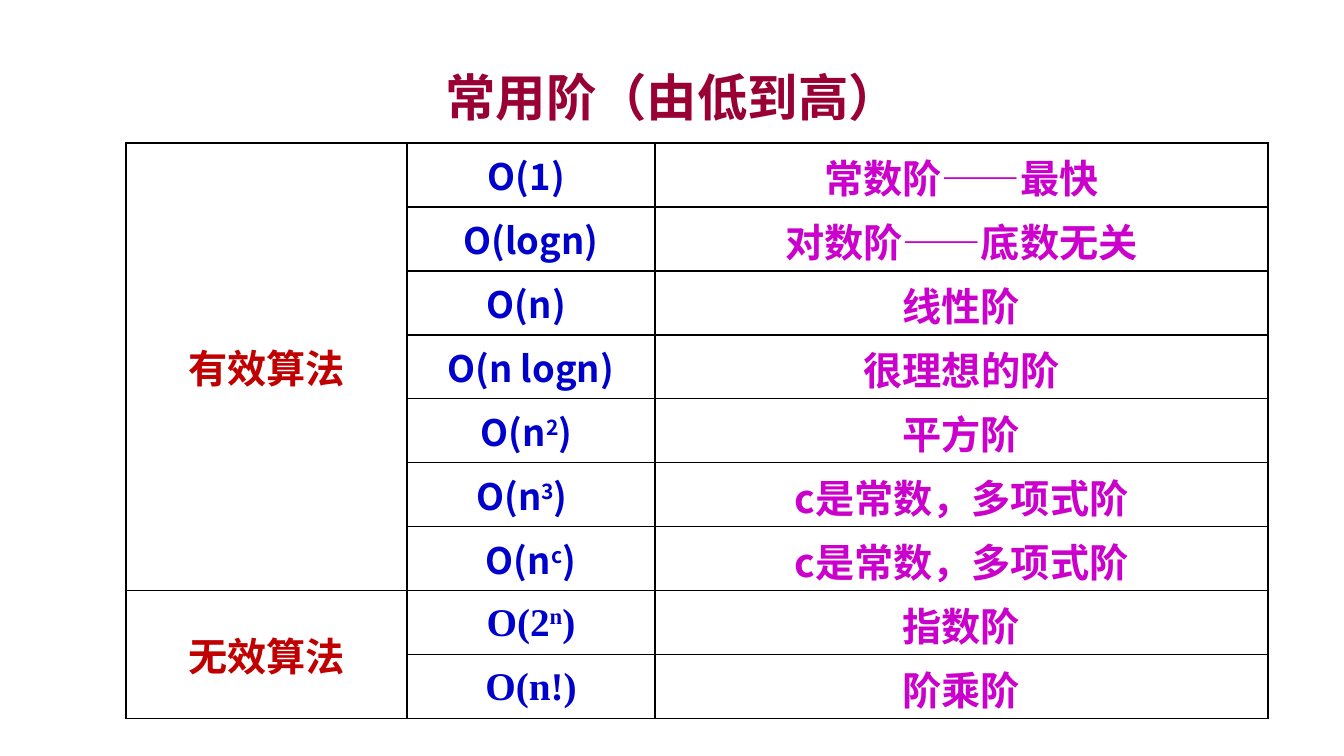
from pptx import Presentation
from pptx.dml.color import RGBColor
from pptx.enum.text import MSO_ANCHOR as Anchor, PP_ALIGN as Align
from pptx.oxml import parse_xml
from pptx.oxml.ns import nsdecls
from pptx.util import Pt

# Content: algorithm group -> (order parts, extra right inset in px, description)
# An order is (base, superscript, ending)
TITLE = "常用阶（由低到高）"
GROUPS = [
    ("有效算法", [
        (("O(1)", "", ""), 9, "常数阶——最快"),
        (("O(logn)", "", ""), 0, "对数阶——底数无关"),
        (("O(n)", "", ""), 9, "线性阶"),
        (("O(n logn)", "", ""), 0, "很理想的阶"),
        (("O(n", "2", ")"), 9, "平方阶"),
        (("O(n", "3", ")"), 18, "c是常数，多项式阶"),
        (("O(n", "c", ")"), 0, "c是常数，多项式阶"),
    ]),
    ("无效算法", [
        (("O(2", "n", ")"), 0, "指数阶"),
        (("O(n!)", "", ""), 0, "阶乘阶"),
    ]),
]

# Style
SANS, SERIF = "Noto Sans CJK SC", "Times New Roman"
ORDER_FONTS = {"有效算法": (SANS, 26), "无效算法": (SERIF, 28)}
MAROON = RGBColor(0x99, 0x00, 0x33)
RED = RGBColor(0xC0, 0x00, 0x00)
BLUE = RGBColor(0x00, 0x00, 0xCC)
MAGENTA = RGBColor(0xCC, 0x00, 0xCC)
WHITE = RGBColor(0xFF, 0xFF, 0xFF)

# Geometry in px
PX = 9071
SLIDE_SIZE = (1344, 756)
TITLE_BOX = (101, 58, 1142, 76)
TABLE_LEFT, TABLE_TOP = 126, 143
COLUMN_WIDTHS = (281, 248, 613)
ROW_HEIGHT = 64
SIDE_INSET = 10


def add_run(paragraph, text, font_name, size, color, superscript=False):
    run = paragraph.add_run()
    run.text = text
    font = run.font
    font.size, font.bold, font.name = Pt(size), True, font_name
    font.color.rgb = color
    properties = run._r.get_or_add_rPr()
    properties.append(parse_xml(f'<a:ea {nsdecls("a")} typeface="{SANS}"/>'))
    if superscript:
        properties.set("baseline", "30000")


def style_cell(cell):
    cell.vertical_anchor = Anchor.MIDDLE
    cell.margin_left = cell.margin_right = SIDE_INSET * PX
    cell.text_frame.paragraphs[0].alignment = Align.CENTER
    properties = cell._tc.get_or_add_tcPr()
    for side in ("lnL", "lnR", "lnT", "lnB"):
        properties.append(parse_xml(
            f'<a:{side} {nsdecls("a")} w="12700"><a:solidFill>'
            f'<a:srgbClr val="000000"/></a:solidFill></a:{side}>'))
    cell.fill.solid()
    cell.fill.fore_color.rgb = WHITE


presentation = Presentation()
presentation.slide_width, presentation.slide_height = (n * PX for n in SLIDE_SIZE)
slide = presentation.slides.add_slide(presentation.slide_layouts[6])

# Title
title_frame = slide.shapes.add_textbox(*(n * PX for n in TITLE_BOX)).text_frame
title_frame.word_wrap = True
title_frame.vertical_anchor = Anchor.MIDDLE
title_frame.paragraphs[0].alignment = Align.CENTER
add_run(title_frame.paragraphs[0], TITLE, SANS, 36, MAROON)

# Table grid
row_count = sum(len(orders) for _, orders in GROUPS)
table = slide.shapes.add_table(
    row_count, len(COLUMN_WIDTHS), TABLE_LEFT * PX, TABLE_TOP * PX,
    sum(COLUMN_WIDTHS) * PX, row_count * ROW_HEIGHT * PX).table
table.first_row = table.horz_banding = False
for column, width in zip(table.columns, COLUMN_WIDTHS):
    column.width = width * PX
for row in table.rows:
    row.height = ROW_HEIGHT * PX
for cell in table.iter_cells():
    style_cell(cell)

# Table text
row_index = 0
for group, orders in GROUPS:
    group_cell = table.cell(row_index, 0)
    group_cell.merge(table.cell(row_index + len(orders) - 1, 0))
    add_run(group_cell.text_frame.paragraphs[0], group, SANS, 28, RED)
    font_name, size = ORDER_FONTS[group]
    for parts, extra_inset, description in orders:
        order_cell = table.cell(row_index, 1)
        order_cell.margin_right = (SIDE_INSET + extra_inset) * PX
        for part_index, part in enumerate(parts):
            if part:
                add_run(order_cell.text_frame.paragraphs[0], part, font_name,
                        size, BLUE, superscript=part_index == 1)
        add_run(table.cell(row_index, 2).text_frame.paragraphs[0],
                description, SANS, 28, MAGENTA)
        row_index += 1

presentation.save("out.pptx")
